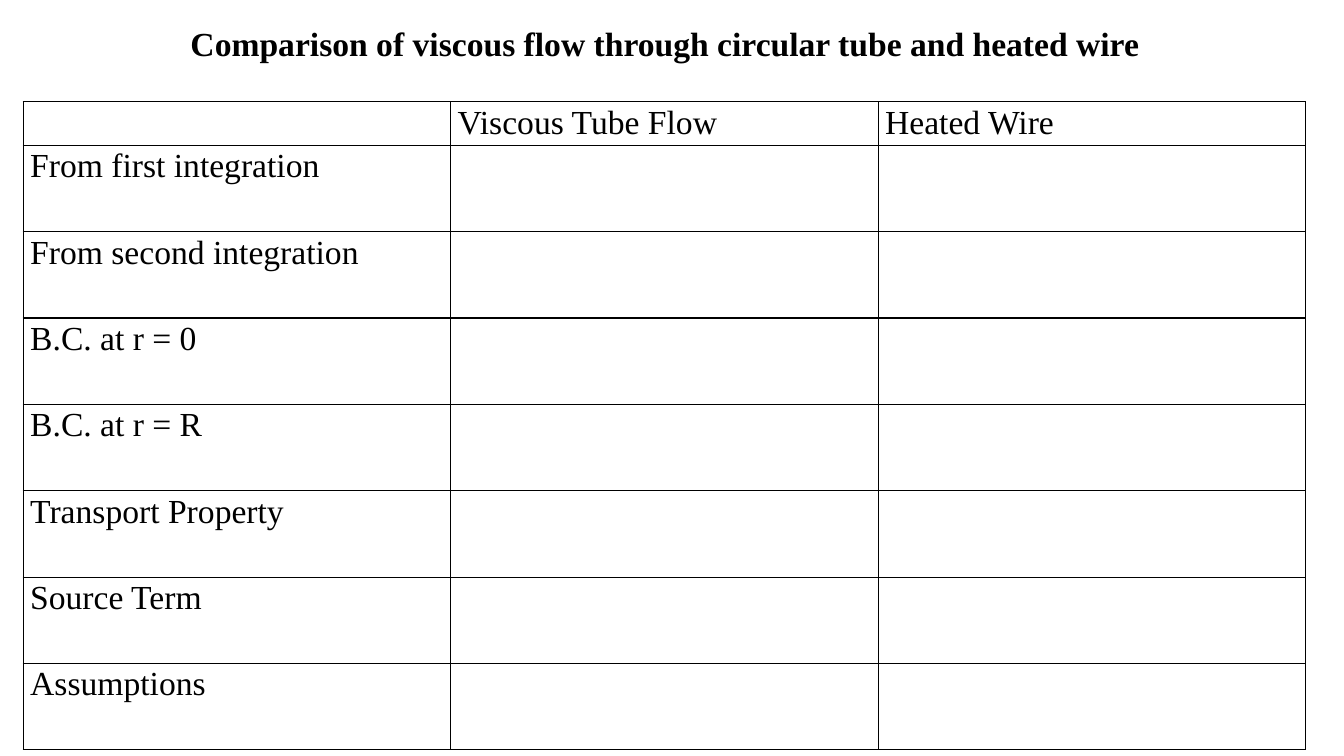
"""Build a slide with a table comparing viscous tube flow and a heated wire."""
from dataclasses import dataclass

import pptx
import pptx.dml.color
import pptx.enum.text
import pptx.oxml
import pptx.oxml.ns
import pptx.table
import pptx.text.text
import pptx.util

Inches = pptx.util.Inches
Pt = pptx.util.Pt
BLACK = pptx.dml.color.RGBColor(0x00, 0x00, 0x00)
WHITE = pptx.dml.color.RGBColor(0xFF, 0xFF, 0xFF)
FONT = "Times New Roman"
TITLE = "Comparison of viscous flow through circular tube and heated wire"
HEADER_HEIGHT = 0.43
BODY_HEIGHT = 6.0
COLUMN_WIDTH = 4.24


@dataclass
class Row:
    label: str
    tube: str = ""
    wire: str = ""


ROWS = [
    Row("", "Viscous Tube Flow", "Heated Wire"),
    Row("From first integration"),
    Row("From second integration"),
    Row("B.C. at r = 0"),
    Row("B.C. at r = R"),
    Row("Transport Property"),
    Row("Source Term"),
    Row("Assumptions"),
]


def write_text(
    tf: pptx.text.text.TextFrame,
    text: str,
    *,
    bold: bool = False,
    align: pptx.enum.text.PP_ALIGN = pptx.enum.text.PP_ALIGN.LEFT,
    spacing: float = 1.0,
) -> None:
    p = tf.paragraphs[0]
    p.alignment = align
    p.line_spacing = spacing
    p.font.size = Pt(24)
    if text:
        r = p.add_run()
        r.text = text
        r.font.name = FONT
        r.font.size = Pt(24)
        r.font.bold = bold
        r.font.color.rgb = BLACK


def add_borders(cell: pptx.table._Cell) -> None:
    tc_pr = cell._tc.get_or_add_tcPr()
    for side in ("lnL", "lnR", "lnT", "lnB"):
        tc_pr.append(pptx.oxml.parse_xml(
            f'<a:{side} {pptx.oxml.ns.nsdecls("a")} w="{Pt(1)}">'
            f'<a:solidFill><a:srgbClr val="{BLACK}"/></a:solidFill></a:{side}>'
        ))


def draw_cell(cell: pptx.table._Cell, text: str) -> None:
    cell.margin_left = cell.margin_right = Inches(0.07)
    cell.margin_top = cell.margin_bottom = 0
    add_borders(cell)
    cell.fill.solid()
    cell.fill.fore_color.rgb = WHITE
    write_text(cell.text_frame, text, spacing=1.07)


def main() -> None:
    prs = pptx.Presentation()
    prs.slide_width, prs.slide_height = Inches(13.33), Inches(7.5)
    slide = prs.slides.add_slide(prs.slide_layouts[5])

    title = slide.shapes.title
    title.left, title.top = Inches(1.32), Inches(0.18)
    title.width, title.height = Inches(10.55), Inches(0.5)
    tf = title.text_frame
    tf.auto_size = pptx.enum.text.MSO_AUTO_SIZE.NONE
    tf.word_wrap = True
    write_text(tf, TITLE, bold=True, align=pptx.enum.text.PP_ALIGN.CENTER)

    table = slide.shapes.add_table(
        len(ROWS), 3, Inches(0.23), Inches(1.01),
        Inches(3 * COLUMN_WIDTH), Inches(HEADER_HEIGHT + BODY_HEIGHT),
    ).table
    for column in table.columns:
        column.width = Inches(COLUMN_WIDTH)
    for i, row in enumerate(ROWS):
        height = BODY_HEIGHT / (len(ROWS) - 1) if i else HEADER_HEIGHT
        table.rows[i].height = Inches(height)
        for j, text in enumerate((row.label, row.tube, row.wire)):
            draw_cell(table.cell(i, j), text)

    prs.save("out.pptx")


if __name__ == "__main__":
    main()
